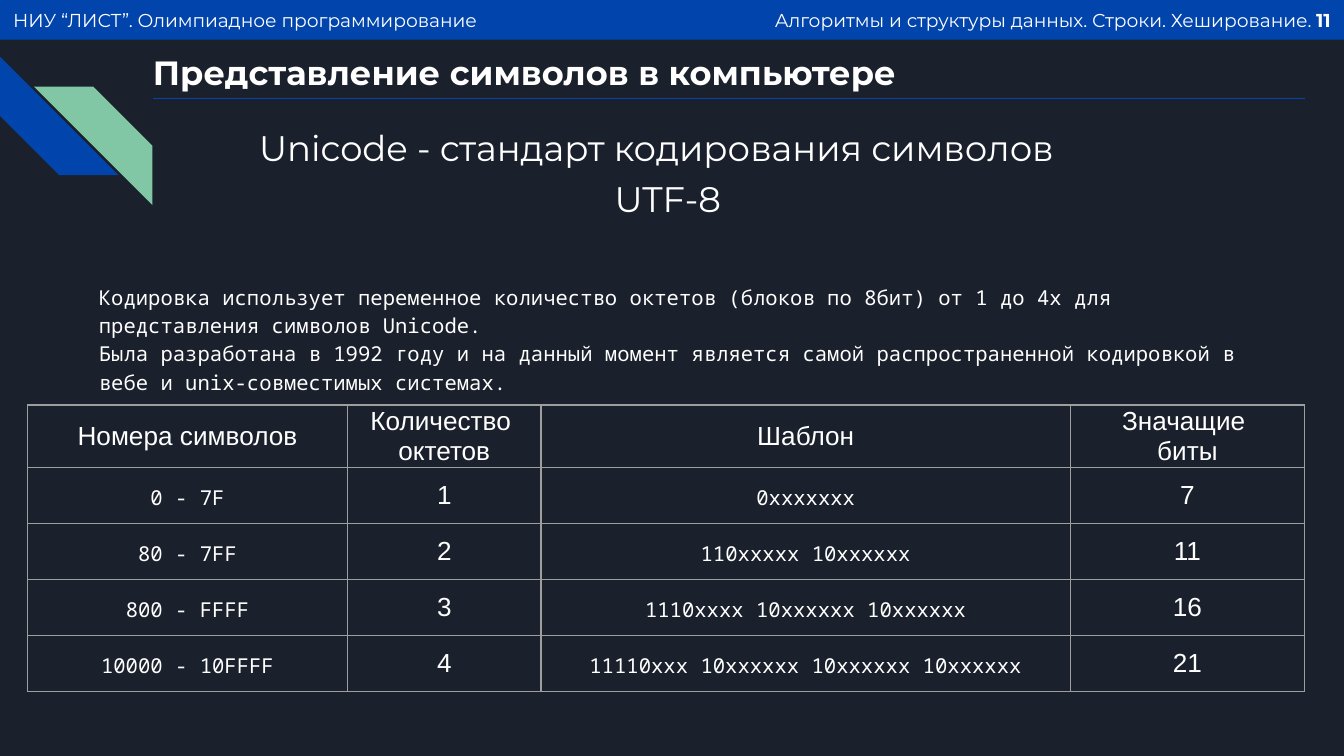
from lxml import etree
from pptx import Presentation
from pptx import util as u
from pptx.dml.color import RGBColor
from pptx.enum import shapes, text
from pptx.oxml import ns

Pt = u.Pt
COLORS = {"night": "1B212C", "blue": "0145AC", "green": "82C7A5", "white": "FFFFFF", "grid": "9E9E9E"}
LEFT, CENTER, RIGHT = text.PP_ALIGN.LEFT, text.PP_ALIGN.CENTER, text.PP_ALIGN.RIGHT
TOP, MIDDLE = text.MSO_ANCHOR.TOP, text.MSO_ANCHOR.MIDDLE


def write(frame, lines, size, font="Montserrat", align=LEFT, anchor=TOP, inset=7.2, spacing=None, bold=False):
    frame.word_wrap = True
    frame.vertical_anchor = anchor
    frame.margin_left = frame.margin_right = frame.margin_top = frame.margin_bottom = Pt(inset)
    for number, line in enumerate(lines):
        para = frame.add_paragraph() if number else frame.paragraphs[0]
        para.text = line
        para.alignment = align
        if spacing:
            para.line_spacing = spacing
        para.font.name = font
        para.font.size = Pt(size)
        para.font.bold = bold
        para.font.color.rgb = RGBColor.from_string(COLORS["white"])


def add_filled(kind, left, top, width, height, color):
    shape = page.shapes.add_shape(kind, Pt(left), Pt(top), Pt(width), Pt(height))
    shape.shadow.inherit = False
    shape.fill.solid()
    shape.fill.fore_color.rgb = RGBColor.from_string(COLORS[color])
    shape.line.fill.background()
    return shape


deck = Presentation()
deck.slide_width, deck.slide_height = Pt(720), Pt(405)
page = deck.slides.add_slide(deck.slide_layouts[6])
page.background.fill.solid()
page.background.fill.fore_color.rgb = RGBColor.from_string(COLORS["night"])

rule = page.shapes.add_connector(shapes.MSO_CONNECTOR.STRAIGHT, Pt(82.2), Pt(52.7), Pt(699), Pt(52.7))
rule.line.color.rgb = RGBColor.from_string(COLORS["blue"])
rule.line.width = Pt(0.75)
etree.SubElement(rule._element.spPr, ns.qn("a:effectLst"))

headers = [
    (0, "НИУ “ЛИСТ”. Олимпиадное программирование", LEFT),
    (360, "Алгоритмы и структуры данных. Строки. Хеширование. ", RIGHT),
]
for left, label, align in headers:
    header = add_filled(shapes.MSO_SHAPE.RECTANGLE, left, 0, 360, 21.3, "blue")
    write(header.text_frame, [label], 10, align=align, anchor=MIDDLE)
page_number = header.text_frame.paragraphs[0].add_run()
page_number.text = "11"
page_number.font.bold = True

for left, top, color in [(0, 30.3, "blue"), (18.2, 46.4, "green")]:
    stripe = add_filled(shapes.MSO_SHAPE.DIAGONAL_STRIPE, left, top, 63.5, 63.5, color)
    stripe.adjustments[0] = 0.5
    if color == "blue":
        stripe.rotation = 270
    else:
        stripe._element.spPr.xfrm.set("flipH", "1")

description = (
    "Кодировка использует переменное количество октетов (блоков по 8бит) от 1 до 4х "
    "для представления символов Unicode.\n"
    "Была разработана в 1992 году и на данный момент является самой распространенной "
    "кодировкой в вебе и unix-совместимых системах."
)
texts = [
    ((74.9, 21.3, 624.2, 31.3), "Представление символов в компьютере", 18,
     dict(anchor=MIDDLE, spacing=1.15, bold=True)),
    ((131.8, 60.5, 456.5, 43.9), "Unicode - стандарт кодирования символов", 19, {}),
    ((45.9, 143.3, 624.2, 73.4), description, 11, dict(font="Noto Sans Mono", spacing=1.15)),
    ((302.4, 87.8, 110.9, 43.9), "UTF-8", 19, dict(align=CENTER)),
]
for place, content, size, style in texts:
    box = page.shapes.add_textbox(*map(Pt, place))
    write(box.text_frame, [content], size, **style)

rows = [
    ("Номера символов", "Количество \nоктетов", "Шаблон", "Значащие \nбиты"),
    ("0 - 7F", "1", "0xxxxxxx", "7"),
    ("80 - 7FF", "2", "110xxxxx 10xxxxxx", "11"),
    ("800 - FFFF", "3", "1110xxxx 10xxxxxx 10xxxxxx", "16"),
    ("10000 - 10FFFF", "4", "11110xxx 10xxxxxx 10xxxxxx 10xxxxxx", "21"),
]
widths = [171.4, 103.7, 283.6, 125.3]
row_height = 30
table = page.shapes.add_table(len(rows), len(widths), Pt(14.8), Pt(217), Pt(sum(widths)),
                              Pt(row_height * len(rows))).table
table.first_row = table.horz_banding = False
for column, width in zip(table.columns, widths):
    column.width = Pt(width)
for r, row in enumerate(rows):
    table.rows[r].height = Pt(row_height)
    for c, content in enumerate(row):
        cell = table.cell(r, c)
        is_code = r > 0 and c in (0, 2)
        style = dict(size=11, font="Noto Sans Mono", spacing=1.15) if is_code else dict(size=14, font="Arial")
        write(cell.text_frame, content.split("\n"), align=CENTER, inset=0, **style)
        cell.vertical_anchor = MIDDLE
        cell.margin_left = cell.margin_right = cell.margin_top = cell.margin_bottom = 0
        properties = cell._tc.get_or_add_tcPr()
        for side in ("lnL", "lnR", "lnT", "lnB"):
            border = etree.SubElement(properties, ns.qn(f"a:{side}"), w=str(Pt(0.75)))
            fill = etree.SubElement(border, ns.qn("a:solidFill"))
            etree.SubElement(fill, ns.qn("a:srgbClr"), val=COLORS["grid"])
        cell.fill.background()

deck.save("out.pptx")
